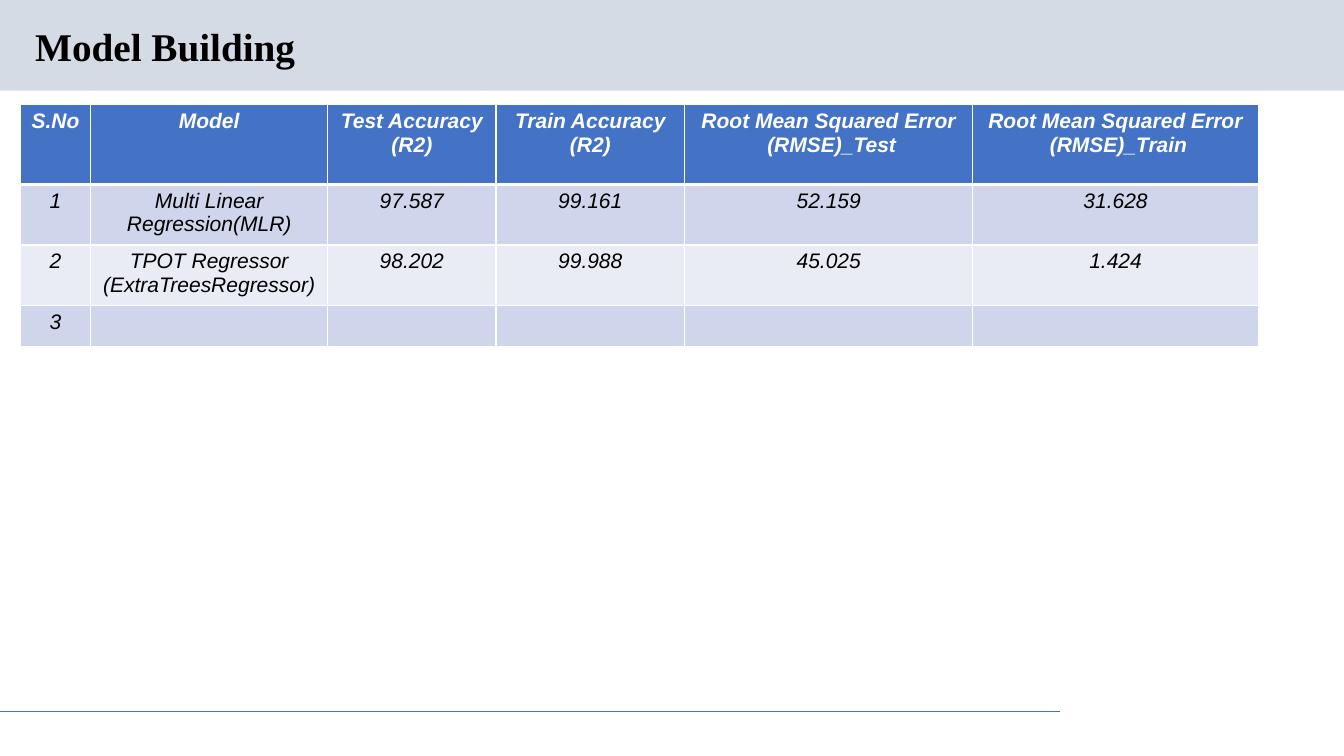
"""Build the Model Building slide with its table of regression scores."""
from lxml import etree
from pptx import Presentation
from pptx.dml.color import RGBColor
from pptx.enum.shapes import MSO_CONNECTOR, MSO_SHAPE
from pptx.enum.text import MSO_ANCHOR, PP_ALIGN
from pptx.oxml.ns import qn
from pptx.util import Inches, Pt

STRAIGHT = MSO_CONNECTOR.STRAIGHT
RECTANGLE = MSO_SHAPE.RECTANGLE
MIDDLE = MSO_ANCHOR.MIDDLE
CENTER = PP_ALIGN.CENTER

BLACK = RGBColor(0x00, 0x00, 0x00)
WHITE = RGBColor(0xFF, 0xFF, 0xFF)
BLUE = RGBColor(0x44, 0x72, 0xC4)
BAND_GREY = RGBColor(0xD5, 0xDB, 0xE5)
ROW_DARK = RGBColor(0xCF, 0xD5, 0xEA)
ROW_LIGHT = RGBColor(0xE9, 0xEB, 0xF5)

TITLE_FONT = {"name": "Times New Roman", "size": Pt(28), "bold": True}
BODY_FONT = {"name": "Arial", "size": Pt(15), "bold": False, "italic": True}
HEADER_FONT = {**BODY_FONT, "bold": True}

COLUMN_WIDTHS = [0.7, 2.35, 1.67, 1.87, 2.86, 2.83]
ROW_HEIGHTS = [0.79, 0.56, 0.56, 0.41]
SCORES = [
    ["S.No", "Model", "Test Accuracy\n(R2)", "Train Accuracy\n(R2)",
     "Root Mean Squared Error\n (RMSE)_Test",
     "Root Mean Squared Error\n (RMSE)_Train"],
    ["1", "Multi Linear Regression(MLR)", "97.587", "99.161", "52.159", "31.628"],
    ["2", "TPOT Regressor\n(ExtraTreesRegressor)", "98.202", "99.988",
     "45.025", "1.424"],
    ["3", "", "", "", "", ""],
]


def format_font(font, color, settings):
    """Apply a colour and a dict of settings to a font."""
    font.color.rgb = color
    for attribute, value in settings.items():
        setattr(font, attribute, value)


def add_band(slide):
    """Add the grey band across the top."""
    band = slide.shapes.add_shape(RECTANGLE, 0, 0, Inches(13.33), Inches(0.9))
    band.shadow.inherit = False
    band.fill.solid()
    band.fill.fore_color.rgb = BAND_GREY
    band.line.fill.background()


def add_footer_rule(slide):
    """Add the thin rule near the bottom."""
    rule = slide.shapes.add_connector(
        STRAIGHT, 0, Inches(7.06), Inches(10.51), Inches(7.06))
    rule.line.color.rgb = BLUE
    rule.line.width = Pt(0.75)
    etree.SubElement(rule._element.spPr, qn("a:effectLst"))


def add_title(slide, text):
    """Add the slide title over the band."""
    title = slide.shapes.add_textbox(
        Inches(0.25), Inches(0.22), Inches(11.5), Inches(0.53))
    frame = title.text_frame
    frame.word_wrap = True
    frame.vertical_anchor = MIDDLE
    frame.text = text
    paragraph = frame.paragraphs[0]
    paragraph.line_spacing = 0.9
    format_font(paragraph.runs[0].font, BLACK, TITLE_FONT)


def add_borders(cell, widths):
    """Draw white cell borders, given points for each side."""
    properties = cell._tc.get_or_add_tcPr()
    for side, width in widths.items():
        border = etree.SubElement(properties, qn(f"a:ln{side}"), w=str(Pt(width)))
        fill = etree.SubElement(border, qn("a:solidFill"))
        etree.SubElement(fill, qn("a:srgbClr"), val=str(WHITE))


def fill_cell(cell, text, fill, color, settings, borders):
    """Write and format one table cell."""
    add_borders(cell, borders)
    cell.fill.solid()
    cell.fill.fore_color.rgb = fill
    cell.text = text
    for paragraph in cell.text_frame.paragraphs:
        paragraph.alignment = CENTER
        format_font(paragraph.font, color, settings)
        for run in paragraph.runs:
            format_font(run.font, color, settings)


def add_score_table(slide):
    """Add the table comparing the models."""
    table = slide.shapes.add_table(
        len(SCORES), len(COLUMN_WIDTHS), Inches(0.2), Inches(1.04),
        Inches(sum(COLUMN_WIDTHS)), Inches(sum(ROW_HEIGHTS))).table
    for column, width in zip(table.columns, COLUMN_WIDTHS):
        column.width = Inches(width)
    for row, height in zip(table.rows, ROW_HEIGHTS):
        row.height = Inches(height)
    for index, (row, texts) in enumerate(zip(table.rows, SCORES)):
        borders = {"L": 1, "R": 1, "T": 3 if index == 1 else 1,
                   "B": 3 if index == 0 else 1}
        if index == 0:
            look = BLUE, WHITE, HEADER_FONT
        else:
            look = ROW_DARK if index % 2 else ROW_LIGHT, BLACK, BODY_FONT
        for cell, text in zip(row.cells, texts):
            fill_cell(cell, text, *look, borders)


def main():
    """Build and save the slide."""
    presentation = Presentation()
    presentation.slide_width = Inches(13.33)
    presentation.slide_height = Inches(7.5)
    slide = presentation.slides.add_slide(presentation.slide_layouts[6])
    add_band(slide)
    add_footer_rule(slide)
    add_title(slide, "Model Building")
    add_score_table(slide)
    presentation.save("out.pptx")


if __name__ == "__main__":
    main()
